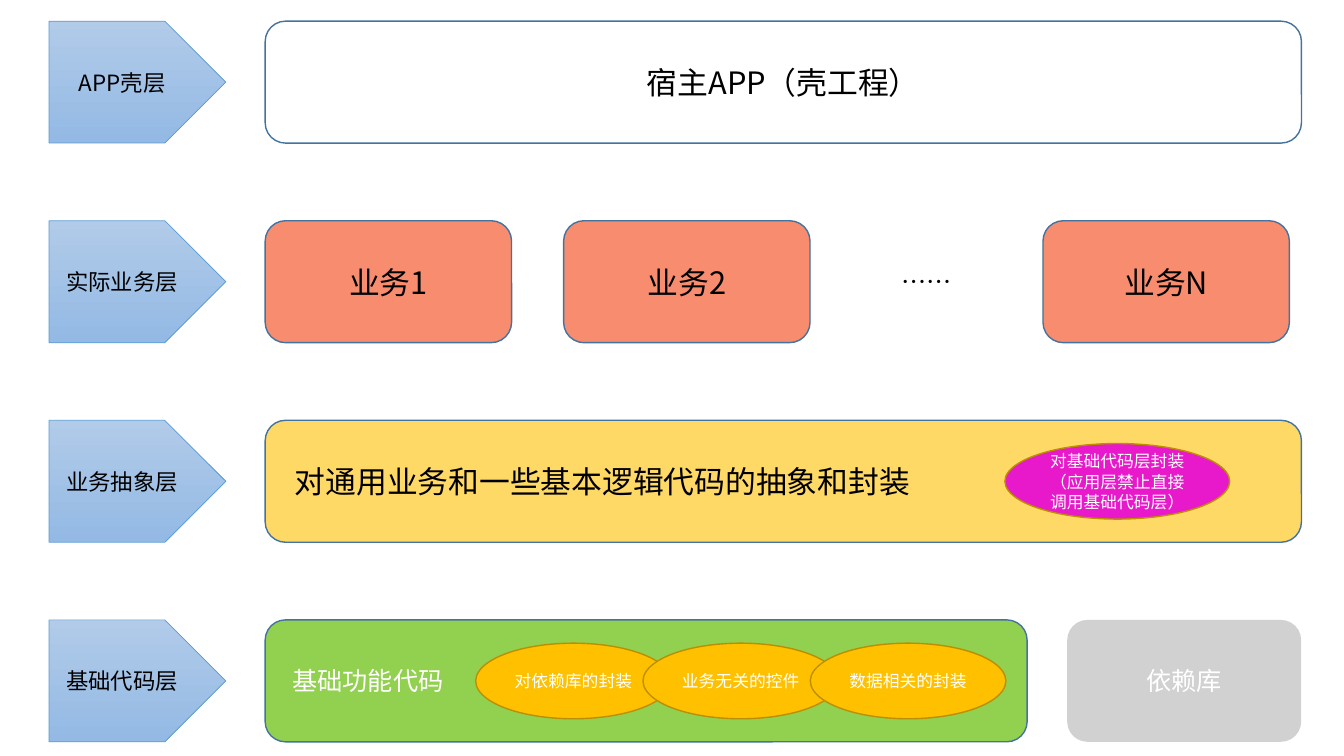
import pptx
import pptx.util
import pptx.dml.color
import pptx.enum.shapes
import pptx.enum.text
import pptx.oxml.ns
import lxml.etree

Pt = pptx.util.Pt
RGBColor = pptx.dml.color.RGBColor
Kind = pptx.enum.shapes.MSO_SHAPE
Align = pptx.enum.text.PP_ALIGN
Anchor = pptx.enum.text.MSO_ANCHOR
qn = pptx.oxml.ns.qn

FONT = "Noto Sans CJK SC"
BLACK = RGBColor(0x00, 0x00, 0x00)
WHITE = RGBColor(0xFF, 0xFF, 0xFF)
NAVY = RGBColor(0x43, 0x73, 0x9E)
BLUE = RGBColor(0x5B, 0x9B, 0xD5)
PALE = RGBColor(0xB1, 0xCB, 0xE9)
SKY = RGBColor(0x93, 0xB9, 0xE4)
CORAL = RGBColor(0xF7, 0x8C, 0x6F)
YELLOW = RGBColor(0xFF, 0xD9, 0x66)
GREEN = RGBColor(0x92, 0xD0, 0x50)
GREY = RGBColor(0xA5, 0xA5, 0xA5)
AMBER = RGBColor(0xFF, 0xC0, 0x00)
GOLD = RGBColor(0xBD, 0x8E, 0x00)
PINK = RGBColor(0xE7, 0x19, 0xCA)

TOP, STEP, HIGH = 15.1, 142.56, 87.1
LEFT, WIDE = 189.4, 740.2
rows = [TOP + STEP * i for i in range(4)]


def write(shape, text, size=22, color=BLACK, align=Align.CENTER, inset=7.2):
    frame = shape.text_frame
    frame.word_wrap = True
    frame.vertical_anchor = Anchor.MIDDLE
    frame.margin_left = Pt(inset)
    frame.text = text
    para = frame.paragraphs[0]
    para.alignment = align
    for run in para.runs:
        run.font.size = Pt(size)
        run.font.name = FONT
        run.font.color.rgb = color
        east = lxml.etree.SubElement(run.font._element, qn("a:ea"))
        east.set("typeface", FONT)


def draw(kind, x, y, w, h, fill=None, line=NAVY, weight=1):
    shape = slide.shapes.add_shape(kind, Pt(x), Pt(y), Pt(w), Pt(h))
    shape.shadow.inherit = False
    if fill is None:
        shape.fill.background()
    else:
        shape.fill.solid()
        shape.fill.fore_color.rgb = fill
    if line is None:
        shape.line.fill.background()
    else:
        shape.line.color.rgb = line
        shape.line.width = Pt(weight)
    return shape


deck = pptx.Presentation()
deck.slide_width = Pt(960)
deck.slide_height = Pt(540)
slide = deck.slides.add_slide(deck.slide_layouts[6])

for y, label in zip(rows, ["APP壳层", "实际业务层", "业务抽象层", "基础代码层"]):
    arrow = draw(Kind.PENTAGON, 35.1, y, 126.2, HIGH, line=BLUE, weight=0.5)
    arrow.fill.gradient()
    arrow.fill.gradient_angle = 270
    for stop, color in zip(arrow.fill.gradient_stops, [PALE, SKY]):
        stop.color.rgb = color
    write(arrow, label, size=16)

host = draw(Kind.ROUNDED_RECTANGLE, LEFT, rows[0], WIDE, HIGH)
write(host, "宿主APP（壳工程）")

for x, label in [(LEFT, "业务1"), (402.6, "业务2"), (745, "业务N")]:
    task = draw(Kind.ROUNDED_RECTANGLE, x, rows[1], 176, HIGH, CORAL)
    write(task, label)

dots = slide.shapes.add_textbox(Pt(632.2), Pt(186.5), Pt(59), Pt(28.8))
write(dots, "……", size=18)

common = draw(Kind.ROUNDED_RECTANGLE, LEFT, rows[2], WIDE, HIGH, YELLOW)
write(common, "对通用业务和一些基本逻辑代码的抽象和封装", align=Align.LEFT, inset=17)

wrap = draw(Kind.OVAL, 717.8, 316.8, 160.6, 54, PINK, GOLD)
write(wrap, "对基础代码层封装\v（应用层禁止直接调用基础代码层）", size=12, color=WHITE)

base = draw(Kind.ROUNDED_RECTANGLE, LEFT, rows[3], 544.3, HIGH, GREEN)
write(base, "基础功能代码", size=18, color=WHITE, align=Align.LEFT, inset=15.2)

for i, label in enumerate(["对依赖库的封装", "业务无关的控件", "数据相关的封装"]):
    part = draw(Kind.OVAL, 339.8 + 119.5 * i, 459.4, 139.7, 54, AMBER, GOLD)
    write(part, label, size=12, color=WHITE)

libs = draw(Kind.ROUNDED_RECTANGLE, 762.3, rows[3], 167.2, HIGH, GREY, None)
tint = libs._element.spPr.find(qn("a:solidFill"))[0]
lxml.etree.SubElement(tint, qn("a:alpha")).set("val", "50000")
write(libs, "依赖库", size=18, color=WHITE)

deck.save("out.pptx")
